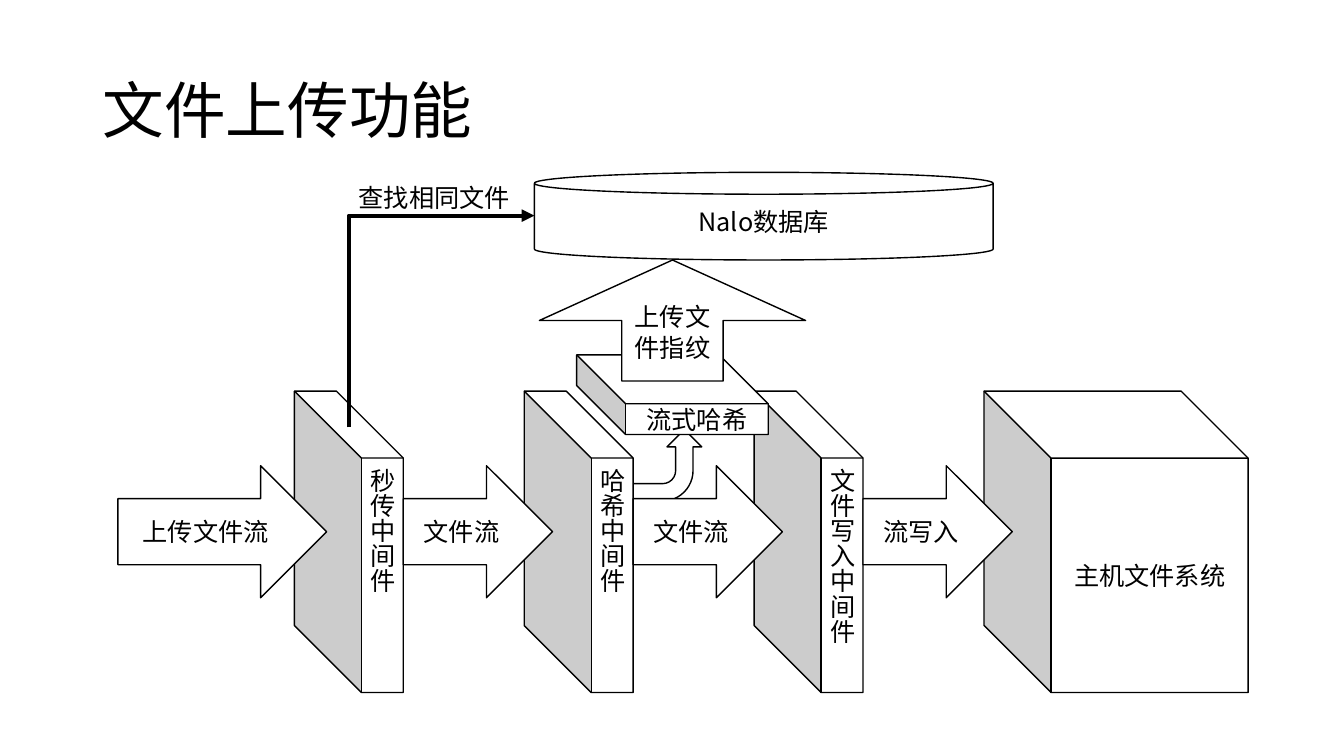
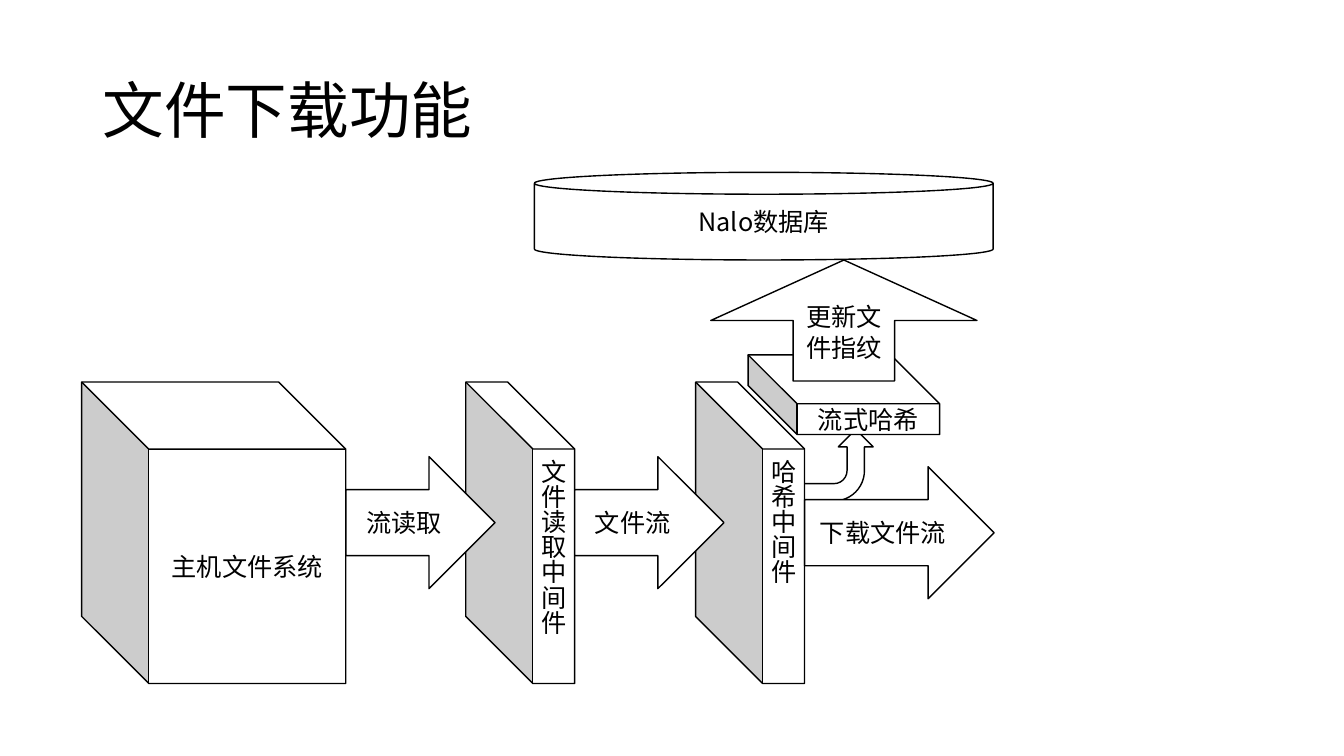
from lxml.etree import SubElement
from pptx import Presentation
from pptx.dml.color import RGBColor
from pptx.enum.shapes import MSO_CONNECTOR as Link, MSO_SHAPE as Form
from pptx.enum.text import MSO_ANCHOR as Anchor, PP_ALIGN as Align
from pptx.oxml.ns import qn
from pptx.util import Inches, Pt

WIDTH, HEIGHT = 13.33, 7.5
BLACK = RGBColor(0, 0, 0)
WHITE = RGBColor(255, 255, 255)
FONT = "Noto Sans CJK SC"
PITCH = 2.28
STAGE_WIDTH, HOST_WIDTH, BLOCK_HEIGHT = 1.08, 2.62, 2.99
FLOW_WIDTH, FLOW_HEIGHT, FLOW_DROP = 1.48, 1.31, 0.74
STAGE_DEPTH, HOST_DEPTH = 0.615, 0.254


def write(holder, text, size=18, align=Align.CENTER):
    frame = holder.text_frame
    frame.text = text
    para = frame.paragraphs[0]
    para.alignment = align
    font = para.font
    font.size = Pt(size)
    font.name = FONT
    font.color.rgb = BLACK
    SubElement(font._element, qn("a:ea")).set("typeface", FONT)
    return para


def text_box(page, box, text, size=18, wrap=False, anchor=Anchor.TOP):
    holder = page.shapes.add_textbox(*map(Inches, box))
    holder.text_frame.word_wrap = wrap
    holder.text_frame.vertical_anchor = anchor
    return write(holder, text, size, Align.LEFT)


def solid(page, form, box, text="", adjust=(), mirrored=False):
    shape = page.shapes.add_shape(form, *map(Inches, box))
    shape.shadow.inherit = False
    shape.fill.solid()
    shape.fill.fore_color.rgb = WHITE
    shape.line.color.rgb = BLACK
    shape.line.width = Pt(1)
    for index, value in enumerate(adjust):
        shape.adjustments[index] = value
    if mirrored:
        shape._element.spPr.xfrm.set("flipH", "1")
    if text:
        write(shape, text)
    return shape


def cube(page, box, text, depth):
    return solid(page, Form.CUBE, box, text, [depth], mirrored=True)


def stage(page, left, top, text):
    block = cube(page, (left, top, STAGE_WIDTH, BLOCK_HEIGHT), text, STAGE_DEPTH)
    block.text_frame._txBody.bodyPr.set("vert", "eaVert")


def host(page, left, top):
    cube(page, (left, top, HOST_WIDTH, BLOCK_HEIGHT), "主机文件系统", HOST_DEPTH)


def flow(page, left, top, text, width=FLOW_WIDTH):
    solid(page, Form.RIGHT_ARROW, (left, top, width, FLOW_HEIGHT), text)


def fingerprint(page, left, top, text):
    turn = solid(page, Form.BENT_ARROW, (left + 0.54, top + 0.75, 0.71, 0.69), mirrored=True)
    turn.rotation = 90
    cube(page, (left, top, 1.9, 0.79), "流式哈希", STAGE_DEPTH)
    solid(page, Form.UP_ARROW, (left - 0.37, top - 0.94, 2.64, 1.2), text, [0.381, 0.5])


def lookup(page, start, end):
    (x1, y1), (x2, y2) = start, end
    middle_x, middle_y = (x1 + x2) / 2, (y1 + y2) / 2
    half_width, half_height = (y1 - y2) / 2, (x2 - x1) / 2
    corners = (middle_x + half_width, middle_y + half_height,
               middle_x - half_width, middle_y - half_height)
    link = page.shapes.add_connector(Link.ELBOW, *map(Inches, corners))
    link.line.color.rgb = BLACK
    link.line.width = Pt(3)
    properties = link._element.spPr
    properties.xfrm.set("rot", "5400000")
    properties.find(qn("a:prstGeom")).set("prst", "bentConnector2")
    SubElement(link.line._get_or_add_ln(), qn("a:tailEnd")).set("type", "triangle")
    SubElement(properties, qn("a:effectLst"))
    text_box(page, (x1, y2 - 0.38, 1.72, 0.4), "查找相同文件")


def new_page(deck, title):
    page = deck.slides.add_slide(deck.slide_layouts[6])
    heading = text_box(page, (0.92, 0.4, 11.5, 1.45), title, 44, True, Anchor.MIDDLE)
    heading.line_spacing = 0.9
    solid(page, Form.CAN, (5.3, 1.71, 4.55, 0.87), "Nalo数据库")
    return page


def upload_page(deck):
    page = new_page(deck, "文件上传功能")
    top = 3.88
    check, hashing, writing, storage = (2.92 + PITCH * column for column in range(4))
    host(page, storage, top)
    stage(page, writing, top, "文件写入中间件")
    fingerprint(page, 5.72, 3.52, "上传文件指纹")
    stage(page, hashing, top, "哈希中间件")
    stage(page, check, top, "秒传中间件")
    flow(page, 1.17, top + FLOW_DROP, "上传文件流", 2.07)
    for left, text in ((check, "文件流"), (hashing, "文件流"), (writing, "流写入")):
        flow(page, left + STAGE_WIDTH, top + FLOW_DROP, text)
    lookup(page, (3.46, 4.24), (5.3, 2.14))


def download_page(deck):
    page = new_page(deck, "文件下载功能")
    top, storage = 3.79, 0.81
    reading, hashing = (4.62 + PITCH * column for column in range(2))
    fingerprint(page, 7.42, 3.52, "更新文件指纹")
    host(page, storage, top)
    stage(page, reading, top, "文件读取中间件")
    stage(page, hashing, top, "哈希中间件")
    flow(page, storage + HOST_WIDTH, top + FLOW_DROP, "流读取")
    flow(page, reading + STAGE_WIDTH, top + FLOW_DROP, "文件流")
    flow(page, hashing + STAGE_WIDTH, top + 0.84, "下载文件流", 1.88)


deck = Presentation()
deck.slide_width, deck.slide_height = Inches(WIDTH), Inches(HEIGHT)
upload_page(deck)
download_page(deck)
deck.save("out.pptx")
